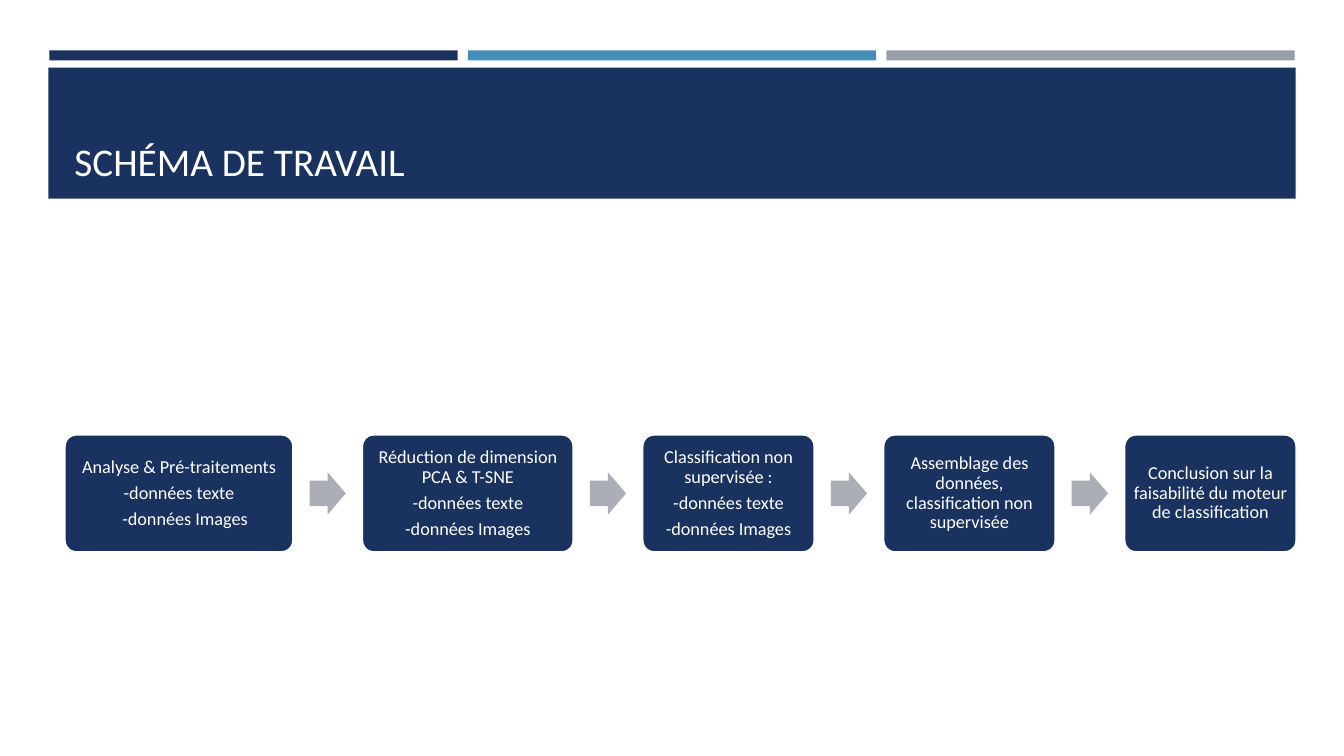
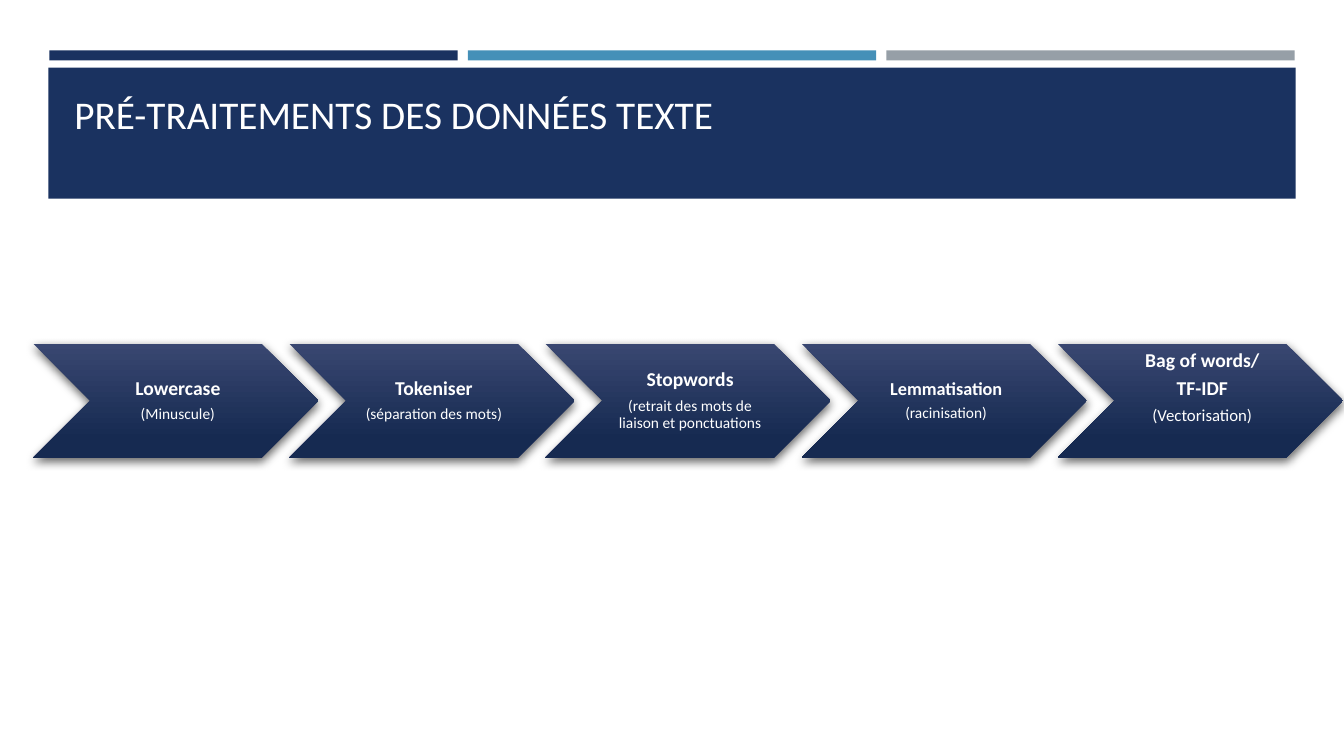
import pptx
import pptx.dml.color
import pptx.enum.shapes
import pptx.enum.text
import pptx.util
from lxml import etree
from pptx.util import Inches

SHAPES = pptx.enum.shapes.MSO_SHAPE
ANCHORS = pptx.enum.text.MSO_ANCHOR
ALIGNMENTS = pptx.enum.text.PP_ALIGN
DRAWING = "{http://schemas.openxmlformats.org/drawingml/2006/main}"

FONT = "Calibri"
NAVY, BLUE, GREY = "1A3260", "4590B8", "969FA7"
ARROW_GREY, WHITE, BLACK = "ACAEB7", "FFFFFF", "000000"
CHEVRON_STOPS = [(0, "394771"), (0.84, "162A51")]
TITLE_LINE = 0.47

# Each step: box width, then lines as (text, size, bold, left indent)
WORK_STEPS = [
    (2.27, [("Analyse & Pré-traitements", 13, False, 0),
            ("-données texte", 13, False, 0),
            ("-données Images", 13, False, 0.12)]),
    (2.1, [("Réduction de dimension PCA & T-SNE", 13, False, 0),
           ("-données texte", 13, False, 0),
           ("-données Images", 13, False, 0)]),
    (1.71, [("Classification non supervisée :", 13, False, 0),
            ("-données texte", 13, False, 0),
            ("-données Images", 13, False, 0)]),
    (1.71, [("Assemblage des données, classification non supervisée", 13, False, 0)]),
    (1.71, [("Conclusion sur la faisabilité du moteur de classification", 13, False, 0)]),
]

# Each step: extra space under the text, then lines as above
TEXT_STEPS = [
    (0, [("Lowercase", 14, True, 0), ("(Minuscule)", 11, False, 0)]),
    (0, [("Tokeniser", 14, True, 0), ("(séparation des mots)", 11, False, 0)]),
    (0, [("Stopwords", 14, True, 0),
         ("(retrait des mots de liaison et ponctuations", 11, False, 0)]),
    (0, [("Lemmatisation", 13, True, 0), ("(racinisation)", 11, False, 0)]),
    (0.25, [("Bag of words/", 14, True, 0), ("TF-IDF", 14, True, 0),
            ("(Vectorisation)", 12, False, 0)]),
]


def color(hex_code):
    return pptx.dml.color.RGBColor.from_string(hex_code)


def add_block(slide, preset, left, top, width, height, fill=None, line=None):
    block = slide.shapes.add_shape(
        preset, Inches(left), Inches(top), Inches(width), Inches(height))
    block.shadow.inherit = False
    if fill:
        block.fill.solid()
        block.fill.fore_color.rgb = color(fill)
    if line:
        block.line.color.rgb = color(line)
        block.line.width = pptx.util.Pt(1.75)
    else:
        block.line.fill.background()
    return block


def prepare_frame(shape, insets, anchor):
    """Set wrapping, anchor and the left, top, right and bottom insets."""
    frame = shape.text_frame
    frame.word_wrap = True
    frame.vertical_anchor = anchor
    (frame.margin_left, frame.margin_top,
     frame.margin_right, frame.margin_bottom) = map(Inches, insets)
    return frame


def write(para, text, size, bold=False, align=ALIGNMENTS.LEFT, indent=0):
    para.alignment = align
    if indent:
        para._p.get_or_add_pPr().set("marL", str(Inches(indent)))
    span = para.add_run()
    span.text = text
    span.font.name = FONT
    span.font.size = pptx.util.Pt(size)
    span.font.bold = bold
    span.font.color.rgb = color(WHITE)


def write_step(shape, lines, insets):
    frame = prepare_frame(shape, insets, ANCHORS.MIDDLE)
    for index, (text, size, bold, indent) in enumerate(lines):
        para = frame.add_paragraph() if index else frame.paragraphs[0]
        para.line_spacing = 0.9
        para.space_after = pptx.util.Pt(0.35 * size)
        write(para, text, size, bold=bold, align=ALIGNMENTS.CENTER, indent=indent)


def style_chevron(chevron):
    """Apply the vertical gradient and the soft shadow below."""
    chevron.fill.gradient()
    chevron.fill.gradient_angle = 270
    for stop, (position, hex_code) in zip(chevron.fill.gradient_stops, CHEVRON_STOPS):
        stop.position = position
        stop.color.rgb = color(hex_code)
    effects = chevron._element.spPr.find(DRAWING + "effectLst")
    shadow = etree.SubElement(
        effects, DRAWING + "outerShdw", blurRad=str(pptx.util.Pt(7)),
        dist=str(pptx.util.Pt(3)), dir=str(84 * 60000), algn="ctr", rotWithShape="0")
    tint = etree.SubElement(shadow, DRAWING + "srgbClr", val=BLACK)
    etree.SubElement(tint, DRAWING + "alpha", val="60000")


def add_page(deck, title, lift=0):
    """Add a slide with the bands and a title raised by lift inches."""
    page = deck.slides.add_slide(deck.slide_layouts[6])
    for index, fill in enumerate((NAVY, BLUE, GREY)):
        add_block(page, SHAPES.RECTANGLE, 0.49 + 4.15 * index, 0.5, 4.05, 0.1, fill)
    add_block(page, SHAPES.RECTANGLE, 0.48, 0.67, 12.37, 1.3, NAVY)
    box = page.shapes.add_textbox(
        Inches(0.64), Inches(0.77), Inches(12.06), Inches(1.11))
    frame = prepare_frame(box, (0.1, 0.05, 0.1, 0.05 + lift), ANCHORS.BOTTOM)
    write(frame.paragraphs[0], title, 28)
    return page


def add_work_flow(page):
    left, top, height, gap = 0.64, 4.31, 1.17, 0.68
    arrow_width, arrow_height = 0.36, 0.42
    for index, (width, lines) in enumerate(WORK_STEPS):
        if index:
            add_block(page, SHAPES.RIGHT_ARROW, left - (gap + arrow_width) / 2,
                      top + (height - arrow_height) / 2, arrow_width, arrow_height,
                      ARROW_GREY).adjustments[0] = 0.6
        step = add_block(page, SHAPES.ROUNDED_RECTANGLE, left, top, width, height,
                         NAVY, line=WHITE)
        step.adjustments[0] = 0.1
        write_step(step, lines, (0.05, 0.05, 0.05, 0.05))
        left += width + gap


def add_chevron_flow(page):
    left, pitch = 0.33, 2.54
    for index, (space_below, lines) in enumerate(TEXT_STEPS):
        chevron = add_block(page, SHAPES.CHEVRON, left + pitch * index, 3.41, 2.83, 1.13)
        style_chevron(chevron)
        write_step(chevron, lines, (0.06, 0.02, 0.02, 0.02 + space_below))


def main():
    deck = pptx.Presentation()
    deck.slide_width, deck.slide_height = Inches(13.33), Inches(7.5)
    add_work_flow(add_page(deck, "SCHÉMA DE TRAVAIL"))
    add_chevron_flow(add_page(deck, "PRÉ-TRAITEMENTS DES DONNÉES TEXTE", lift=TITLE_LINE))
    deck.save("out.pptx")


if __name__ == "__main__":
    main()
